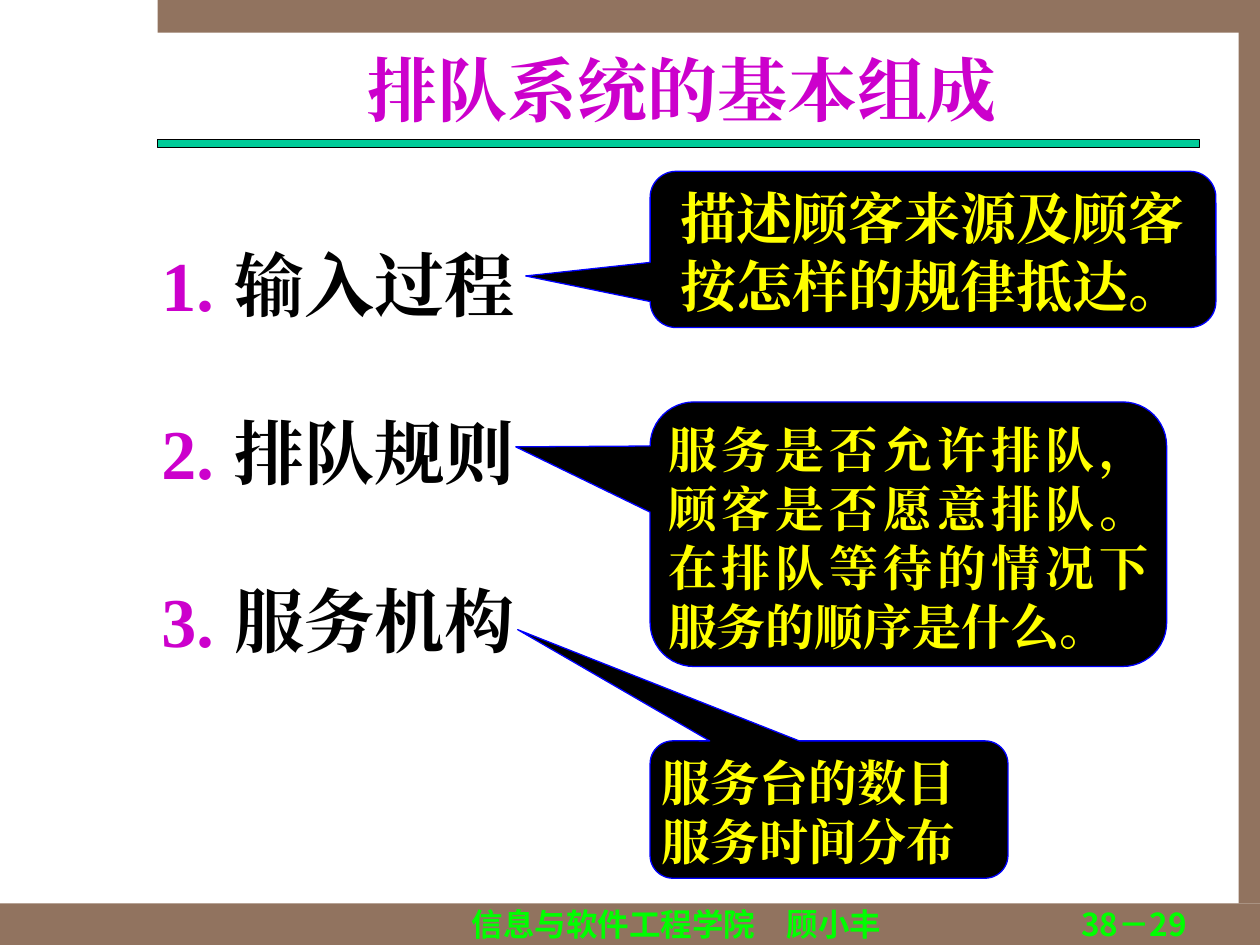
from lxml import etree
from pptx import Presentation
from pptx.dml.color import RGBColor
from pptx.enum import shapes, text
from pptx.oxml import ns
from pptx.util import Inches, Pt

COLORS = {"frame": "91735F", "rule": "00CC99", "heading": "CC00CC", "ink": "000000",
          "callout_text": "FFFF00", "callout_line": "0000FF", "footer": "00FF00"}
SERIF, SANS = "Times New Roman", "Noto Sans CJK SC"
CENTER, RIGHT, JUSTIFY, LEFT = (text.PP_ALIGN.CENTER, text.PP_ALIGN.RIGHT,
                                text.PP_ALIGN.JUSTIFY, text.PP_ALIGN.LEFT)

FRAME = [(0, 7.17, 10, 0.33), (1.25, 0, 8.75, 0.26), (9.83, 0.25, 0.17, 6.92)]
TITLE_RULE = (1.25, 1.11, 8.27, 0.06)
TITLE = "排队系统的基本组成"
FOOTERS = [("信息与软件工程学院　顾小丰", (3.08, 7.18, 4.58, 0.3), CENTER),
           ("38－29", (7.75, 7.18, 1.67, 0.36), RIGHT)]
COMPONENTS = ["输入过程", "排队规则", "服务机构"]
CALLOUTS = [
    (["描述顾客来源及顾客按怎样的规律抵达。"], (5.16, 1.36, 4.49, 1.24), (-0.72, 0.17), 32, CENTER),
    (["服务是否允许排队，顾客是否愿意排队。在排队等待的情况下服务的顺序是什么。"],
     (5.16, 3.19, 4.1, 2.1), (-0.76, -0.33), 28, JUSTIFY),
    (["服务台的数目", "服务时间分布"], (5.16, 5.88, 2.84, 1.09), (-0.87, -1.31), 28, JUSTIFY),
]


def rgb(name):
    return RGBColor.from_string(COLORS[name])


def add_filled(slide, kind, box, fill, line=None):
    shape = slide.shapes.add_shape(kind, *map(Inches, box))
    shape.shadow.inherit = False
    shape.fill.solid()
    shape.fill.fore_color.rgb = rgb(fill)
    if line:
        shape.line.color.rgb = rgb(line)
        shape.line.width = Pt(0.75)
    else:
        shape.line.fill.background()
    return shape


def write(shape, lines, size, color, align, font=SERIF, inset=0, anchor=text.MSO_ANCHOR.TOP):
    frame = shape.text_frame
    frame.word_wrap = True
    frame.vertical_anchor = anchor
    frame.margin_left = frame.margin_right = Inches(inset)
    frame.margin_top = frame.margin_bottom = Inches(inset)
    frame.text = "\n".join(lines)
    for paragraph in frame.paragraphs:
        paragraph.alignment = align
        for run in paragraph.runs:
            run.font.size = Pt(size)
            run.font.bold = True
            run.font.name = font
            run.font.color.rgb = rgb(color)
            east_asian = etree.SubElement(run.font._element, ns.qn("a:ea"))
            east_asian.set("typeface", font)
    return frame


def number(paragraph, indent):
    paragraph.line_spacing = 2.0
    properties = paragraph._p.get_or_add_pPr()
    properties.set("marL", str(Inches(indent)))
    properties.set("indent", str(-Inches(indent)))
    bullet_color = etree.SubElement(properties, ns.qn("a:buClr"))
    etree.SubElement(bullet_color, ns.qn("a:srgbClr")).set("val", COLORS["heading"])
    etree.SubElement(properties, ns.qn("a:buFont")).set("typeface", SANS)
    etree.SubElement(properties, ns.qn("a:buAutoNum")).set("type", "arabicPeriod")


def add_text(slide, box, *args, **options):
    return write(slide.shapes.add_textbox(*map(Inches, box)), *args, **options)


def main():
    deck = Presentation()
    deck.slide_width, deck.slide_height = Inches(10), Inches(7.5)
    slide = deck.slides.add_slide(deck.slide_layouts[6])

    for band in FRAME:
        add_filled(slide, shapes.MSO_SHAPE.RECTANGLE, band, "frame")
    add_filled(slide, shapes.MSO_SHAPE.RECTANGLE, TITLE_RULE, "rule", "ink")

    add_text(slide, (1.33, 0.37, 8.17, 0.67), [TITLE], 40, "heading", CENTER,
             anchor=text.MSO_ANCHOR.MIDDLE)
    components = add_text(slide, (1.28, 1.25, 3.25, 4), COMPONENTS, 40, "ink", LEFT)
    for paragraph in components.paragraphs:
        number(paragraph, 0.58)

    for lines, box, tip, size, align in CALLOUTS:
        callout = add_filled(slide, shapes.MSO_SHAPE.ROUNDED_RECTANGULAR_CALLOUT, box,
                             "ink", "callout_line")
        callout.adjustments[0], callout.adjustments[1] = tip
        write(callout, lines, size, "callout_text", align, inset=0.04)

    for words, box, align in FOOTERS:
        add_text(slide, box, [words], 18, "footer", align, font=SANS)

    deck.save("out.pptx")


if __name__ == "__main__":
    main()
